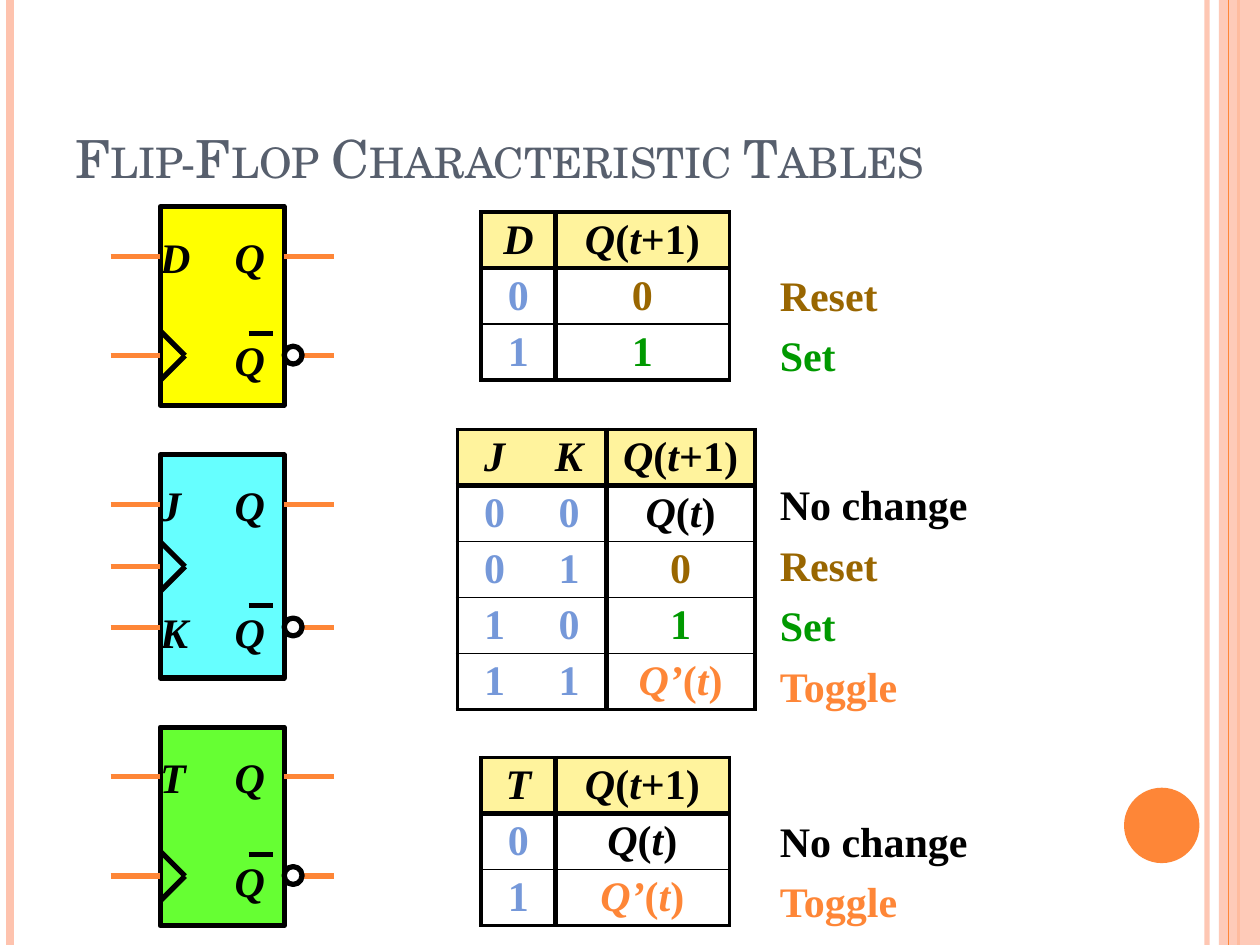
from dataclasses import dataclass
from itertools import groupby
from typing import Any, NamedTuple, Optional

from lxml import etree
from pptx import Presentation
from pptx import util as u
from pptx.dml.color import RGBColor
from pptx.enum import shapes, text
from pptx.oxml import ns

Cm = u.Cm


@dataclass(frozen=True)
class Theme:
    serif: str = "Times New Roman"
    heading: str = "TeX Gyre Schola"
    body_size: float = 24
    title_size: float = 30
    ink: str = "000000"
    paper: str = "FFFFFF"
    title: str = "575F6D"
    accent: str = "FE8637"
    pale: str = "FEC3AE"
    header: str = "FFF39D"
    given: str = "7598D9"
    reset: str = "996600"
    set: str = "009900"
    thin: float = 1
    frame: float = 2.25
    thick: float = 3


THEME = Theme()


class Outcome(NamedTuple):
    value: str
    label: str
    color: str


RESET = Outcome("0", "Reset", THEME.reset)
SET = Outcome("1", "Set", THEME.set)
HOLD = Outcome("Q(t)", "No change", THEME.ink)
TOGGLE = Outcome("Q’(t)", "Toggle", THEME.accent)


class Pin(NamedTuple):
    name: str
    drop: float


class FlipFlop(NamedTuple):
    top: float
    height: float
    color: str
    pins: list[Pin]
    clock: float
    inverted: float
    table_left: float
    table_top: float
    columns: list[float]
    rows: list[tuple[str, Outcome]]
    labels_top: float


FLIP_FLOPS = [
    FlipFlop(4.17, 4, "FFFF00", [Pin("D", 1)], 3, 3,
             9.7, 4.27, [1.5, 3.5], [("0", RESET), ("1", SET)], 5.23),
    FlipFlop(9.17, 4.5, "66FFFF", [Pin("J", 1), Pin("K", 3.48)], 2.25, 3.48,
             9.22, 8.66, [1.5, 1.5, 3],
             [("00", HOLD), ("01", RESET), ("10", SET), ("11", TOGGLE)], 9.45),
    FlipFlop(14.66, 4, "66FF33", [Pin("T", 1)], 3, 3,
             9.7, 15.27, [1.5, 3.5], [("0", HOLD), ("1", TOGGLE)], 16.23),
]

BLOCK_LEFT, BLOCK_WIDTH, WIRE = 3.23, 2.5, 1
ROW_HEIGHT = 1.13
LABEL_LEFT, LABEL_WIDTH, LABEL_STEP = 15.72, 4.5, 1.22


def set_alpha(fill: Any, color: str, percent: int) -> None:
    fill.solid()
    fill.fore_color.rgb = RGBColor.from_string(color)
    if percent < 100:
        value = fill._xPr.find(".//" + ns.qn("a:srgbClr"))
        etree.SubElement(value, ns.qn("a:alpha")).set("val", str(percent * 1000))


def add_line(parent: Any, x1: float, y1: float, x2: float, y2: float,
             color: str, width: float = THEME.thick, alpha: int = 100) -> None:
    line = parent.add_connector(shapes.MSO_CONNECTOR.STRAIGHT,
                                Cm(x1), Cm(y1), Cm(x2), Cm(y2))
    line.line.width = u.Pt(width)
    set_alpha(line.line.fill, color, alpha)
    etree.SubElement(line._element.spPr, ns.qn("a:effectLst"))


def add_block(parent: Any, kind: Any, left: float, top: float, width: float, height: float,
              color: str, outline: Optional[str] = None, alpha: int = 100) -> None:
    block = parent.add_shape(kind, Cm(left), Cm(top), Cm(width), Cm(height))
    block.shadow.inherit = False
    set_alpha(block.fill, color, alpha)
    if outline is None:
        block.line.fill.background()
    else:
        block.line.color.rgb = RGBColor.from_string(outline)
        block.line.width = u.Pt(THEME.thick)


def write(para: Any, words: str, *, color: str = THEME.ink, size: float = THEME.body_size,
          face: str = THEME.serif, bold: bool = True, symbols: bool = False,
          small_caps: bool = False) -> None:
    for slanted, letters in groupby(words, lambda letter: symbols and (letter.isalpha() or letter == "’")):
        span = para.add_run()
        span.text = "".join(letters)
        span.font.name = face
        span.font.size = u.Pt(size)
        span.font.bold = bold
        span.font.italic = slanted
        span.font.color.rgb = RGBColor.from_string(color)
        if small_caps:
            span._r.get_or_add_rPr().set("cap", "small")


def add_box(parent: Any, left: float, top: float, width: float, height: float) -> Any:
    box = parent.add_textbox(Cm(left), Cm(top), Cm(width), Cm(height))
    frame = box.text_frame
    frame.word_wrap = True
    frame.margin_left = frame.margin_right = frame.margin_top = frame.margin_bottom = 0
    return frame


def draw_symbol(page: Any, item: FlipFlop) -> None:
    group = page.shapes.add_group_shape().shapes
    left, right = BLOCK_LEFT, BLOCK_LEFT + BLOCK_WIDTH
    output, clock, inverted = (item.top + drop for drop in (1, item.clock, item.inverted))
    add_block(group, shapes.MSO_SHAPE.RECTANGLE, left, item.top, BLOCK_WIDTH, item.height,
              item.color, THEME.ink)
    for side in (-0.5, 0.5):
        add_line(group, left, clock + side, left + 0.5, clock, THEME.ink)
    for height in [clock] + [item.top + pin.drop for pin in item.pins]:
        add_line(group, left - WIRE, height, left, height, THEME.accent)
    for height in (output, inverted):
        add_line(group, right, height, right + WIRE, height, THEME.accent)
    add_block(group, shapes.MSO_SHAPE.OVAL, right, inverted - 0.19, 0.36, 0.36,
              THEME.paper, THEME.ink)
    add_line(group, left + 1.78, inverted - 0.44, left + 2.28, inverted - 0.44, THEME.ink)
    names = [(pin.name, left, item.top + pin.drop) for pin in item.pins]
    for name, start, height in names + [("Q", left + 1.5, output), ("Q", left + 1.5, inverted)]:
        rise = 0.5 if height == output else 0.42
        write(add_box(group, start, height - rise, 1, 1).paragraphs[0], name, symbols=True)


def set_borders(cell: Any, widths: dict[str, float]) -> None:
    properties = cell._tc.get_or_add_tcPr()
    for side, width in widths.items():
        border = etree.SubElement(properties, ns.qn("a:ln" + side), w=str(u.Pt(width)))
        if width:
            fill = etree.SubElement(border, ns.qn("a:solidFill"))
            etree.SubElement(fill, ns.qn("a:srgbClr"), val=THEME.ink)
        else:
            etree.SubElement(border, ns.qn("a:noFill"))


def draw_table(page: Any, item: FlipFlop) -> None:
    header = [(pin.name, THEME.ink) for pin in item.pins] + [("Q(t+1)", THEME.ink)]
    rows = [header] + [[(bit, THEME.given) for bit in bits] + [(outcome.value, outcome.color)]
                       for bits, outcome in item.rows]
    table = page.shapes.add_table(len(rows), len(header), Cm(item.table_left), Cm(item.table_top),
                                  Cm(sum(item.columns)), Cm(ROW_HEIGHT * len(rows))).table
    table.first_row = table.horz_banding = False
    for column, width in zip(table.columns, item.columns):
        column.width = Cm(width)
    across = [THEME.frame] + [0] * (len(header) - 2) + [THEME.thick, THEME.frame]
    down = [THEME.frame, THEME.thick] + [THEME.thin] * (len(rows) - 2) + [THEME.frame]
    for y, row in enumerate(rows):
        table.rows[y].height = Cm(ROW_HEIGHT)
        for x, (words, color) in enumerate(row):
            cell = table.cell(y, x)
            set_borders(cell, {"L": across[x], "R": across[x + 1], "T": down[y], "B": down[y + 1]})
            if y == 0:
                set_alpha(cell.fill, THEME.header, 100)
            else:
                cell.fill.background()
            cell.margin_left = cell.margin_right = cell.margin_top = cell.margin_bottom = 0
            cell.vertical_anchor = text.MSO_ANCHOR.MIDDLE
            para = cell.text_frame.paragraphs[0]
            para.alignment = text.PP_ALIGN.CENTER
            write(para, words, color=color, symbols=True)


def draw_labels(page: Any, item: FlipFlop) -> None:
    frame = add_box(page.shapes, LABEL_LEFT, item.labels_top, LABEL_WIDTH, LABEL_STEP * len(item.rows))
    for index, (_, outcome) in enumerate(item.rows):
        para = frame.add_paragraph() if index else frame.paragraphs[0]
        para.line_spacing = 1.2
        write(para, outcome.label, color=outcome.color)


def draw_backdrop(page: Any, height: float) -> None:
    add_line(page.shapes, 24.33, 0, 24.33, height, THEME.pale, 3, 93)
    add_line(page.shapes, 0.2, 0, 0.2, height, THEME.pale, 4.5)
    add_line(page.shapes, 24.97, 0, 24.97, height, THEME.accent, 1.5)
    add_block(page.shapes, shapes.MSO_SHAPE.RECTANGLE, 24.57, 0, 0.83, height, THEME.pale, alpha=87)
    add_line(page.shapes, 24.77, 0, 24.77, height, THEME.accent, 0.75)
    add_block(page.shapes, shapes.MSO_SHAPE.OVAL, 22.66, 15.88, 1.52, 1.52, THEME.accent)


def main() -> None:
    deck = Presentation()
    deck.slide_width, deck.slide_height = Cm(25.4), Cm(19.05)
    page = deck.slides.add_slide(deck.slide_layouts[6])
    draw_backdrop(page, 19.05)
    title = add_box(page.shapes, 1.52, 0.76, 20.88, 3.05)
    title.vertical_anchor = text.MSO_ANCHOR.BOTTOM
    write(title.paragraphs[0], "Flip-Flop Characteristic Tables", color=THEME.title,
          size=THEME.title_size, face=THEME.heading, bold=False, small_caps=True)
    for item in FLIP_FLOPS:
        draw_symbol(page, item)
        draw_table(page, item)
        draw_labels(page, item)
    deck.save("out.pptx")


if __name__ == "__main__":
    main()
